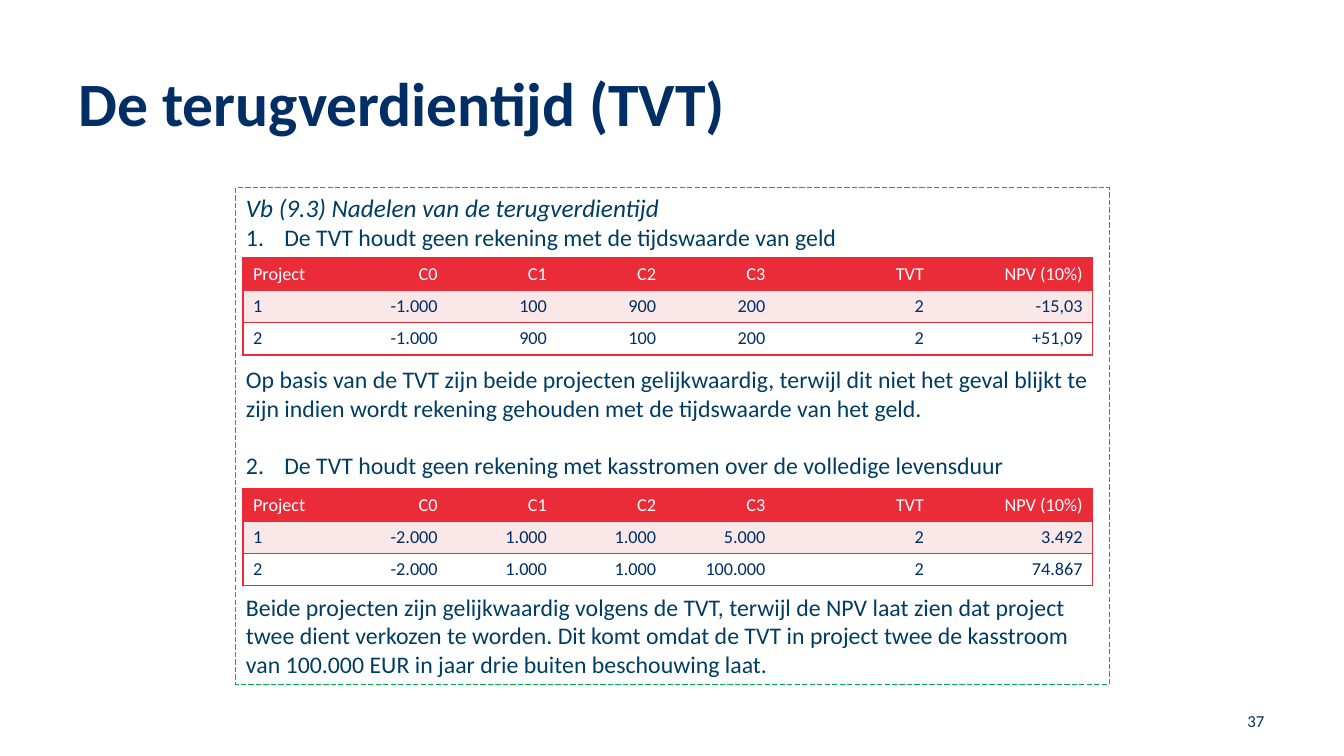
from dataclasses import dataclass
from pptx import Presentation
from pptx.dml.color import RGBColor as RGB
from pptx.enum.dml import MSO_LINE as Dash
from pptx.enum.text import MSO_ANCHOR as Anchor, MSO_AUTO_SIZE as Fit, PP_ALIGN as Align
from pptx.oxml import parse_xml
from pptx.oxml.ns import nsdecls
from pptx.util import Inches, Pt

WIDE, HIGH = Inches(13.33), Inches(7.5)
NAVY, TEAL, RED, PINK, WHITE, GREEN = "002E65", "003D62", "EA2C38", "FAE7E8", "FFFFFF", "00B050"
COLS = (7.1, 8.13, 8.13, 8.13, 8.13, 11.8, 11.8)
ROW = 4.22
HEAD = ("Project", "C0", "C1", "C2", "C3", "TVT", "NPV (10%)")
GAP = 81


@dataclass
class Line:
    text: str
    size: float = 17
    gap: float = 0
    slant: bool = False
    num: int = 0


@dataclass
class Grid:
    top: float
    rows: tuple


LINES = (
    Line("Vb (9.3) Nadelen van de terugverdientijd", size=18, slant=True),
    Line("De TVT houdt geen rekening met de tijdswaarde van geld", num=1),
    Line("Op basis van de TVT zijn beide projecten gelijkwaardig, terwijl dit niet het geval "
         "blijkt te zijn indien wordt rekening gehouden met de tijdswaarde van het geld.", gap=GAP),
    Line("De TVT houdt geen rekening met kasstromen over de volledige levensduur",
         gap=GAP / 4, num=2),
    Line("Beide projecten zijn gelijkwaardig volgens de TVT, terwijl de NPV laat zien dat project "
         "twee dient verkozen te worden. Dit komt omdat de TVT in project twee de kasstroom van "
         "100.000 EUR in jaar drie buiten beschouwing laat.", gap=GAP),
)
GRIDS = (
    Grid(34.13, (("1", "-1.000", "100", "900", "200", "2", "-15,03"),
                 ("2", "-1.000", "900", "100", "200", "2", "+51,09"))),
    Grid(64.67, (("1", "-2.000", "1.000", "1.000", "5.000", "2", "3.492"),
                 ("2", "-2.000", "1.000", "1.000", "100.000", "2", "74.867"))),
)


def across(share: float) -> int:
    return round(WIDE * share / 100)


def down(share: float) -> int:
    return round(HIGH * share / 100)


def tint(code: str) -> RGB:
    return RGB.from_string(code)


def apply(item, form: dict) -> None:
    for name, value in form.items():
        setattr(item, name, value)


def place(shape, left: float, top: float, width: float, height: float) -> None:
    apply(shape, {"left": across(left), "top": down(top),
                  "width": across(width), "height": down(height)})


def write(para, text: str, size: float, code: str, align=Align.LEFT, **form) -> None:
    para.alignment = align
    run = para.add_run()
    run.text = text
    apply(run.font, {"name": "Calibri", "size": Pt(size), **form})
    run.font.color.rgb = tint(code)


def frame(shape, anchor):
    apply(shape.text_frame, {"word_wrap": True, "auto_size": Fit.NONE, "vertical_anchor": anchor})
    return shape.text_frame


def mark(para, num: int) -> None:
    props = para._p.get_or_add_pPr()
    step = across(2.85) if num else 0
    props.set("marL", str(step))
    props.set("indent", str(-step))
    kind = f'buAutoNum {nsdecls("a")} type="arabicPeriod" startAt="{num}"' if num \
        else f'buNone {nsdecls("a")}'
    props.append(parse_xml(f"<a:{kind}/>"))


def edge(cell, side: str, shown: bool) -> None:
    paint = f'<a:solidFill><a:srgbClr val="{RED}"/></a:solidFill>' if shown else "<a:noFill/>"
    cell._tc.get_or_add_tcPr().append(parse_xml(
        f'<a:ln{side} {nsdecls("a")} w="{Pt(0.96)}">{paint}</a:ln{side}>'))


def draw_grid(slide, grid: Grid) -> None:
    rows = (HEAD, *grid.rows)
    table = slide.shapes.add_table(
        len(rows), len(COLS), across(18.08), down(grid.top),
        across(sum(COLS)), down(ROW * len(rows))).table
    for col, share in zip(table.columns, COLS):
        col.width = across(share)
    for r, (row, fill) in enumerate(zip(rows, (RED, PINK, WHITE))):
        for c, text in enumerate(row):
            cell = table.cell(r, c)
            for side, shown in (("L", c == 0), ("R", c == len(COLS) - 1), ("T", True), ("B", True)):
                edge(cell, side, shown)
            cell.fill.solid()
            cell.fill.fore_color.rgb = tint(fill)
            write(cell.text_frame.paragraphs[0], text, 13, NAVY if r else WHITE,
                  Align.RIGHT if c else Align.LEFT)


def draw_title(slide) -> None:
    title = slide.shapes.title
    place(title, 5.1, 9.07, 89.7, 15.6)
    para = frame(title, Anchor.TOP).paragraphs[0]
    para.line_spacing = 0.9
    write(para, "De terugverdientijd (TVT)", 44, NAVY, bold=True)


def draw_body(slide) -> None:
    body = slide.placeholders[1]
    place(body, 17.55, 24.8, 64.97, 65.73)
    body.line.color.rgb = tint(GREEN)
    apply(body.line, {"width": 0, "dash_style": Dash.DASH})
    text = frame(body, Anchor.TOP)
    for i, line in enumerate(LINES):
        para = text.add_paragraph() if i else text.paragraphs[0]
        apply(para, {"line_spacing": 1.0, "space_before": Pt(line.gap), "space_after": Pt(0)})
        mark(para, line.num)
        write(para, line.text, line.size, TEAL, italic=line.slant)


def draw_page(slide) -> None:
    page = slide.shapes.add_textbox(0, 0, 0, 0)
    place(page, 72.32, 92.67, 22.5, 5.33)
    write(frame(page, Anchor.MIDDLE).paragraphs[0], "37", 12, NAVY, Align.RIGHT)


def main() -> None:
    deck = Presentation()
    apply(deck, {"slide_width": WIDE, "slide_height": HIGH})
    slide = deck.slides.add_slide(deck.slide_layouts[1])
    draw_title(slide)
    draw_body(slide)
    for grid in GRIDS:
        draw_grid(slide, grid)
    draw_page(slide)
    deck.save("out.pptx")


if __name__ == "__main__":
    main()
